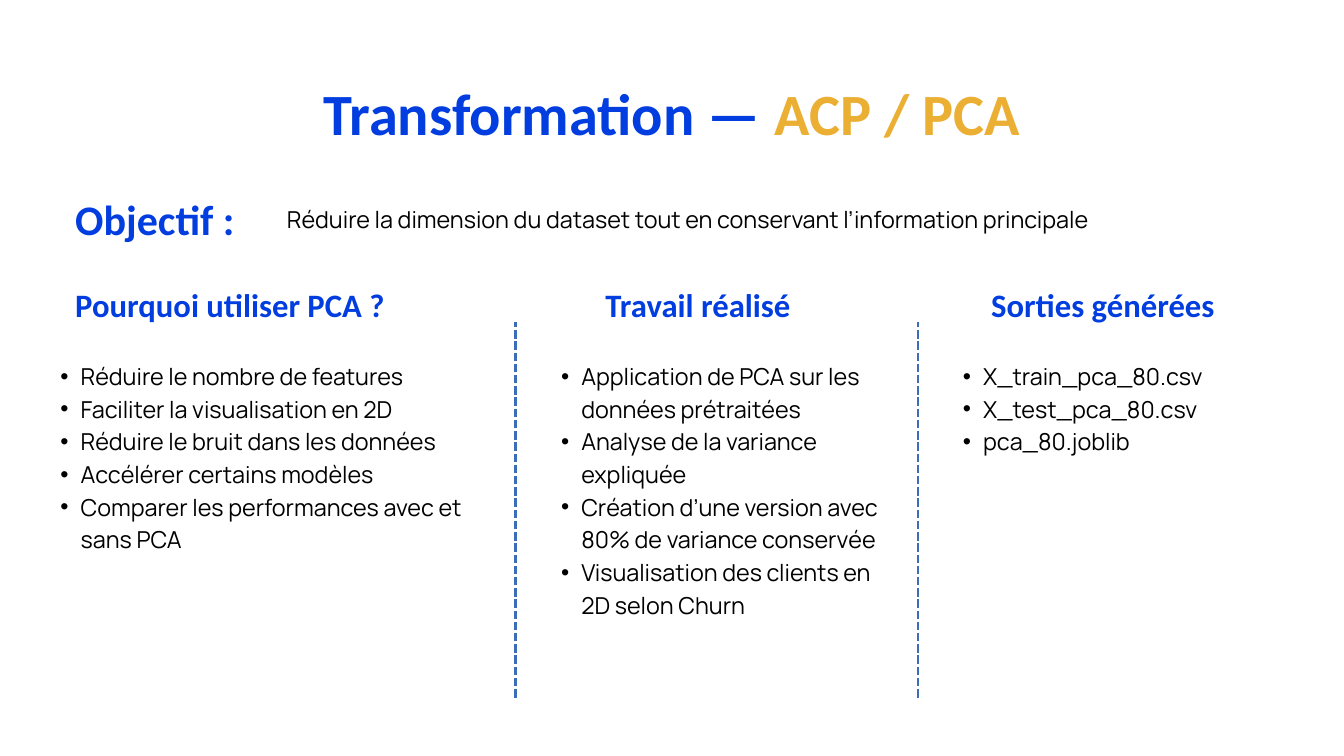
"""Build the PCA slide: a goal and three columns split by dashed rules."""
from lxml.etree import SubElement
from pptx import Presentation
from pptx.dml.color import RGBColor
from pptx.enum.dml import MSO_LINE
from pptx.enum.shapes import MSO_CONNECTOR
from pptx.enum.text import MSO_ANCHOR, MSO_AUTO_SIZE, PP_ALIGN
from pptx.oxml.ns import qn
from pptx.util import Pt

BLUE = RGBColor(0x01, 0x3D, 0xDF)
GOLD = RGBColor(0xEB, 0xAF, 0x33)
STEEL = RGBColor(0x3C, 0x6D, 0xB8)
BLACK = RGBColor(0, 0, 0)

COLUMNS = [
    ("Pourquoi utiliser PCA ?", (80.6, 375), (43.9, 483.1), [
        "Réduire le nombre de features",
        "Faciliter la visualisation en 2D",
        "Réduire le bruit dans les données",
        "Accélérer certains modèles",
        "Comparer les performances avec et sans PCA",
    ]),
    ("Travail réalisé", (648.7, 239), (580.3, 375.1), [
        "Application de PCA sur les données prétraitées",
        "Analyse de la variance expliquée",
        "Création d’une version avec 80% de variance conservée",
        "Visualisation des clients en 2D selon Churn",
    ]),
    ("Sorties générées", (1062, 278.6), (1010.9, 375.1), [
        "X_train_pca_80.csv",
        "X_test_pca_80.csv",
        "pca_80.joblib",
    ]),
]


class Deck:
    """Hold the style and the current slide."""

    head_font, body_font = "Calibri", "Manrope"
    body_size, body_lead = 25, 35

    def __init__(self, width, height):
        self.file = Presentation()
        self.file.slide_width, self.file.slide_height = Pt(width), Pt(height)
        self.slide = self.file.slides.add_slide(self.file.slide_layouts[4])

    def place(self, shape, box):
        shape.left, shape.top, shape.width, shape.height = map(Pt, box)
        frame = shape.text_frame
        frame.margin_left = frame.margin_right = 0
        frame.margin_top = frame.margin_bottom = 0
        frame.word_wrap = True
        frame.auto_size = MSO_AUTO_SIZE.NONE
        frame.vertical_anchor = MSO_ANCHOR.TOP
        return frame

    def format(self, para, size, lead, align, color, bold):
        para.alignment = align
        para.line_spacing = Pt(lead)
        para.space_before = para.space_after = Pt(0)
        for run in para.runs:
            font = run.font
            font.name = self.head_font if bold else self.body_font
            font.size, font.bold = Pt(size), bold
            font.color.rgb = color

    def title(self, text, accent, box):
        frame = self.place(self.slide.shapes.title, box)
        frame.text = text
        para = frame.paragraphs[0]
        run = para.add_run()
        run.text = accent
        self.format(para, 62.6, 87.6, PP_ALIGN.CENTER, BLUE, True)
        run.font.color.rgb = GOLD

    def head(self, text, box, size):
        frame = self.place(self.slide.shapes.add_textbox(0, 0, 0, 0), box)
        frame.text = text
        self.format(frame.paragraphs[0], size, size * 1.4,
                    PP_ALIGN.JUSTIFY, BLUE, True)

    def body(self, index, lines, box, bullet=True):
        frame = self.place(self.slide.placeholders[index], box)
        frame.text = "\n".join(lines)
        for para in frame.paragraphs:
            props = para._p.get_or_add_pPr()
            props.set("marL", str(Pt(42.5) if bullet else 0))
            props.set("indent", str(Pt(-21.6) if bullet else 0))
            if bullet:
                para.level = 1
                SubElement(props, qn("a:buFont")).set("typeface", "Arial")
                SubElement(props, qn("a:buChar")).set("char", "•")
            else:
                SubElement(props, qn("a:buNone"))
            self.format(para, self.body_size, self.body_lead,
                        PP_ALIGN.LEFT, BLACK, False)

    def rule(self, x, top, base):
        line = self.slide.shapes.add_connector(
            MSO_CONNECTOR.STRAIGHT, Pt(x), Pt(base), Pt(x), Pt(top))
        line.line.color.rgb = STEEL
        line.line.width = Pt(3)
        line.line.dash_style = MSO_LINE.SQUARE_DOT
        SubElement(line._element.spPr, qn("a:effectLst"))


def main():
    deck = Deck(1440, 810)
    deck.title("Transformation — ", "ACP / PCA", (269.3, 70.6, 901.4, 85))
    deck.head("Objectif :", (80.6, 198, 204.5, 61.2), 45)
    goal = "Réduire la dimension du dataset tout en conservant l’information principale"
    deck.body(4, [goal], (307.4, 214.6, 949.7, 34.6), bullet=False)
    for index, (name, (x, width), (left, span), items) in enumerate(COLUMNS, 1):
        deck.head(name, (x, 298.1, width, 48.2), 35)
        deck.body(index, items, (left, 383, span, 311))
    for x in (552.2, 983.5):
        deck.rule(x, 344.9, 747.4)
    deck.file.save("out.pptx")


if __name__ == "__main__":
    main()
